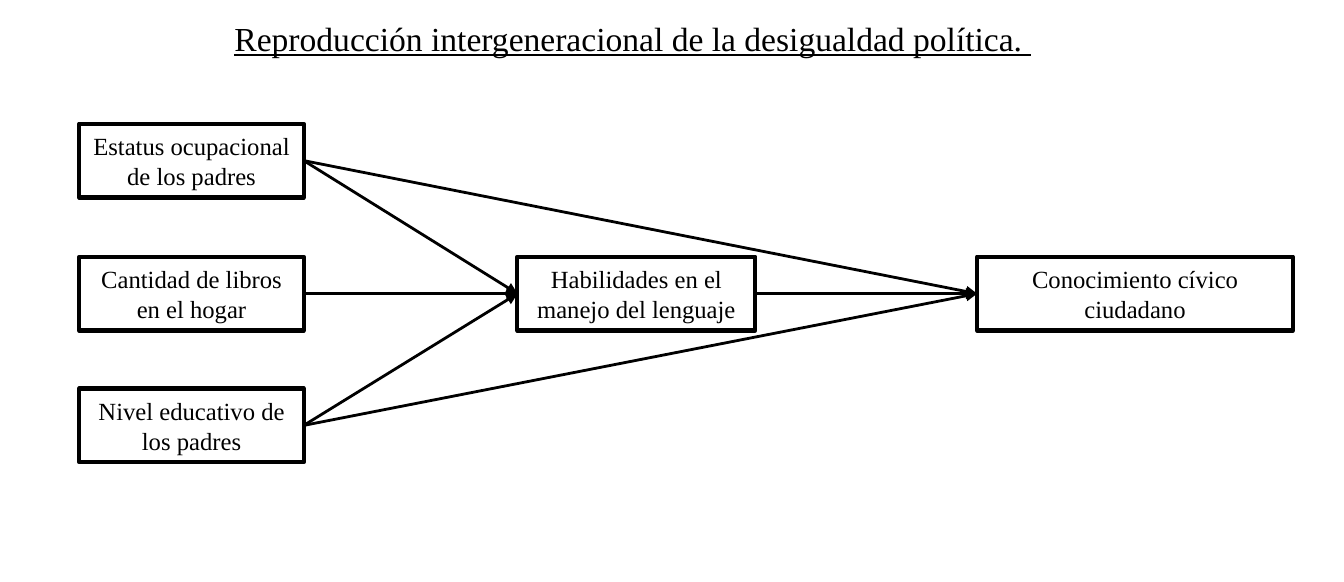
from pptx import Presentation
from pptx.dml.color import RGBColor
from pptx.enum.shapes import MSO_CONNECTOR, MSO_SHAPE
from pptx.enum.text import MSO_ANCHOR, MSO_AUTO_SIZE, PP_ALIGN
from pptx.oxml.ns import qn
from pptx.util import Inches, Pt
from lxml.etree import SubElement

BLACK = RGBColor(0, 0, 0)
WHITE = RGBColor(255, 255, 255)
FONT = "Times New Roman"
BOX_HEIGHT = 0.55
LEFT_SITE, RIGHT_SITE = 1, 3

# Content
TITLE = "Reproducción intergeneracional de la desigualdad política. "
COLUMNS = {"parents": (0.59, 1.67), "skills": (3.85, 1.77), "civics": (7.27, 2.35)}
ROWS = [0.92, 1.91, 2.89]
VARIABLES = {  # name: (column, row, text)
    "occupation": ("parents", 0, "Estatus ocupacional de los padres"),
    "books": ("parents", 1, "Cantidad de libros en el hogar"),
    "education": ("parents", 2, "Nivel educativo de los padres"),
    "language": ("skills", 1, "Habilidades en el manejo del lenguaje"),
    "knowledge": ("civics", 1, "Conocimiento cívico ciudadano"),
}
EFFECTS = [
    ("books", "language"),
    ("language", "knowledge"),
    ("education", "language"),
    ("occupation", "language"),
    ("occupation", "knowledge"),
    ("education", "knowledge"),
]


def write(shape, text, size):
    frame = shape.text_frame
    frame.text = text
    frame.word_wrap = True
    frame.auto_size = MSO_AUTO_SIZE.NONE
    frame.vertical_anchor = MSO_ANCHOR.MIDDLE
    frame.margin_left = frame.margin_right = Inches(0.07)
    frame.margin_top = frame.margin_bottom = Inches(0.04)
    para = frame.paragraphs[0]
    para.alignment = PP_ALIGN.CENTER
    para.font.name = FONT
    para.font.size = Pt(size)
    para.font.color.rgb = BLACK
    return para


deck = Presentation()
deck.slide_width, deck.slide_height = Inches(10), Inches(4.33)
page = deck.slides.add_slide(deck.slide_layouts[5])

# Title
title = page.shapes.title
title.left, title.top = Inches(1.3), Inches(0.08)
title.width, title.height = Inches(6.82), Inches(0.4)
write(title, TITLE, 18).font.underline = True

# Variable boxes
boxes = {}
for name, (column, row, text) in VARIABLES.items():
    left, width = COLUMNS[column]
    box = page.shapes.add_shape(
        MSO_SHAPE.RECTANGLE,
        Inches(left), Inches(ROWS[row]), Inches(width), Inches(BOX_HEIGHT))
    box.shadow.inherit = False
    box.fill.solid()
    box.fill.fore_color.rgb = WHITE
    box.line.color.rgb = BLACK
    box.line.width = Pt(2.25)
    write(box, text, 13.2)
    boxes[name] = box

# Arrows from right edge to left edge
for cause, effect in EFFECTS:
    arrow = page.shapes.add_connector(MSO_CONNECTOR.STRAIGHT, 0, 0, 0, 0)
    arrow.begin_connect(boxes[cause], RIGHT_SITE)
    arrow.end_connect(boxes[effect], LEFT_SITE)
    arrow.line.color.rgb = BLACK
    arrow.line.width = Pt(1.5)
    SubElement(arrow.line._get_or_add_ln(), qn("a:tailEnd"), type="triangle")
    SubElement(arrow._element.spPr, qn("a:effectLst"))

deck.save("out.pptx")
